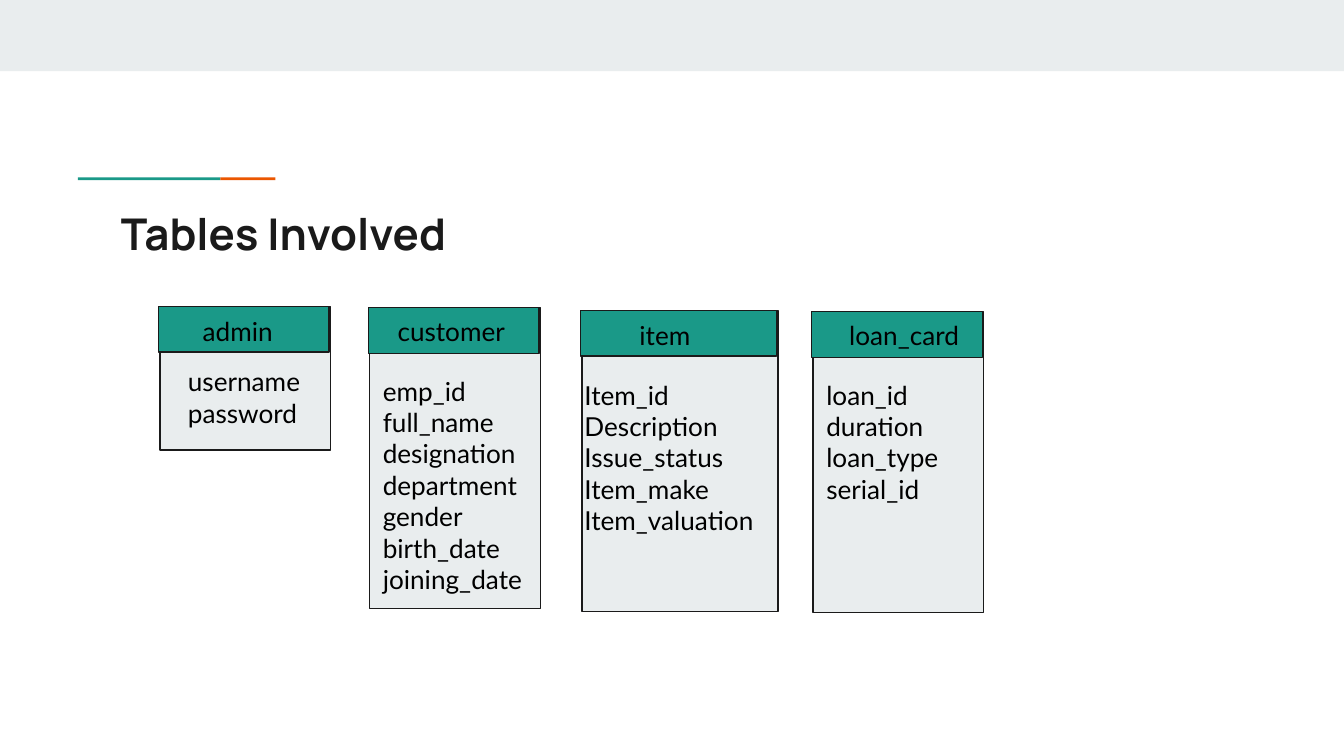
from pptx import Presentation
from pptx.dml.color import RGBColor
from pptx.enum.shapes import MSO_SHAPE
from pptx.enum.text import MSO_ANCHOR, PP_ALIGN
from pptx.util import Emu, Pt

RECT = MSO_SHAPE.RECTANGLE
TOP, MIDDLE = MSO_ANCHOR.TOP, MSO_ANCHOR.MIDDLE
LEFT = PP_ALIGN.LEFT
PX = 9144
GREEN, ORANGE, GRAY, INK, BLACK = "1A9988", "EB5600", "E9EDEE", "1A1A1A", "000000"
HEADER_H = 34

ENTITIES = [
    ("admin", (119, 228, 127, 107), (22, -3, 83), (11, 34, 116, 67),
     ["username", "password"]),
    ("customer", (275, 229, 127, 224), (11, -4, 104), (0, 40, 127, 185),
     ["emp_id", "full_name", "designation", "department", "gender",
      "birth_date", "joining_date"]),
    ("item", (433, 231, 146, 224), (33, -3, 104), (-8, 41, 153, 185),
     ["Item_id", "Description", "Issue_status", "Item_make", "Item_valuation"]),
    ("loan_card", (605, 232, 127, 224), (17, -4, 104), (0, 40, 127, 185),
     ["loan_id", "duration", "loan_type", "serial_id"]),
]


def px(*values):
    """Convert px lengths to EMU."""
    return [Emu(v * PX) for v in values]


def color(value):
    """Return the colour for a hex string."""
    return RGBColor.from_string(value)


def add_rect(s, box, fill, line=None):
    """Add a flat rectangle with an optional outline."""
    sp = s.shapes.add_shape(RECT, *px(*box))
    sp.shadow.inherit = False
    sp.fill.solid()
    sp.fill.fore_color.rgb = color(fill)
    if line:
        sp.line.color.rgb = color(line)
        sp.line.width = Pt(0.75)
    else:
        sp.line.fill.background()


def set_text(sp, lines, font, size, hex_color, bold=False, anchor=TOP):
    """Fill a shape with left-aligned paragraphs of one style."""
    tf = sp.text_frame
    tf.word_wrap = True
    tf.vertical_anchor = anchor
    tf.margin_left, tf.margin_top, tf.margin_right, tf.margin_bottom = px(10, 10, 10, 10)
    tf.text = "\n".join(lines)
    for p in tf.paragraphs:
        p.alignment = LEFT
        p.font.name = font
        p.font.size = Pt(size)
        p.font.bold = bold
        p.font.color.rgb = color(hex_color)


def add_text(s, box, lines):
    """Add a text box in the body style."""
    set_text(s.shapes.add_textbox(*px(*box)), lines, "Lato", 14, BLACK)


def add_heading(s, box):
    """Add the top band, the two-colour rule and the title."""
    x, y, w, h = box
    add_rect(s, (x, y, w, 53), GRAY)
    add_rect(s, (x + 58, y + 132, 106, 2), GREEN)
    add_rect(s, (x + 164, y + 132, 41, 2), ORANGE)
    title = s.shapes.title
    title.left, title.top, title.width, title.height = px(x + 80, y + 144, 841, h - 144)
    set_text(title, ["Tables Involved"], "Manrope", 23.4, INK, True, MIDDLE)


def add_entity(s, box, name, name_at, fields_at, fields):
    """Add one database table as a body with a header and its fields."""
    x, y, w, h = box
    name_dx, name_dy, name_w = name_at
    dx, dy, fields_w, fields_h = fields_at
    add_rect(s, box, GRAY, INK)
    add_text(s, (x + dx, y + dy, fields_w, fields_h), fields)
    add_rect(s, (x - 1, y, w, HEADER_H), GREEN, INK)
    add_text(s, (x + name_dx, y + name_dy, name_w, 44), [name])


def main():
    """Build the slide and save it."""
    prs = Presentation()
    prs.slide_width = Emu(1000 * PX)
    prs.slide_height = Emu(prs.slide_width * 9 // 16)
    s = prs.slides.add_slide(prs.slide_layouts[5])
    add_heading(s, (0, 0, 1000, 203))
    for name, box, name_at, fields_at, fields in ENTITIES:
        add_entity(s, box, name, name_at, fields_at, fields)
    prs.save("out.pptx")


if __name__ == "__main__":
    main()
